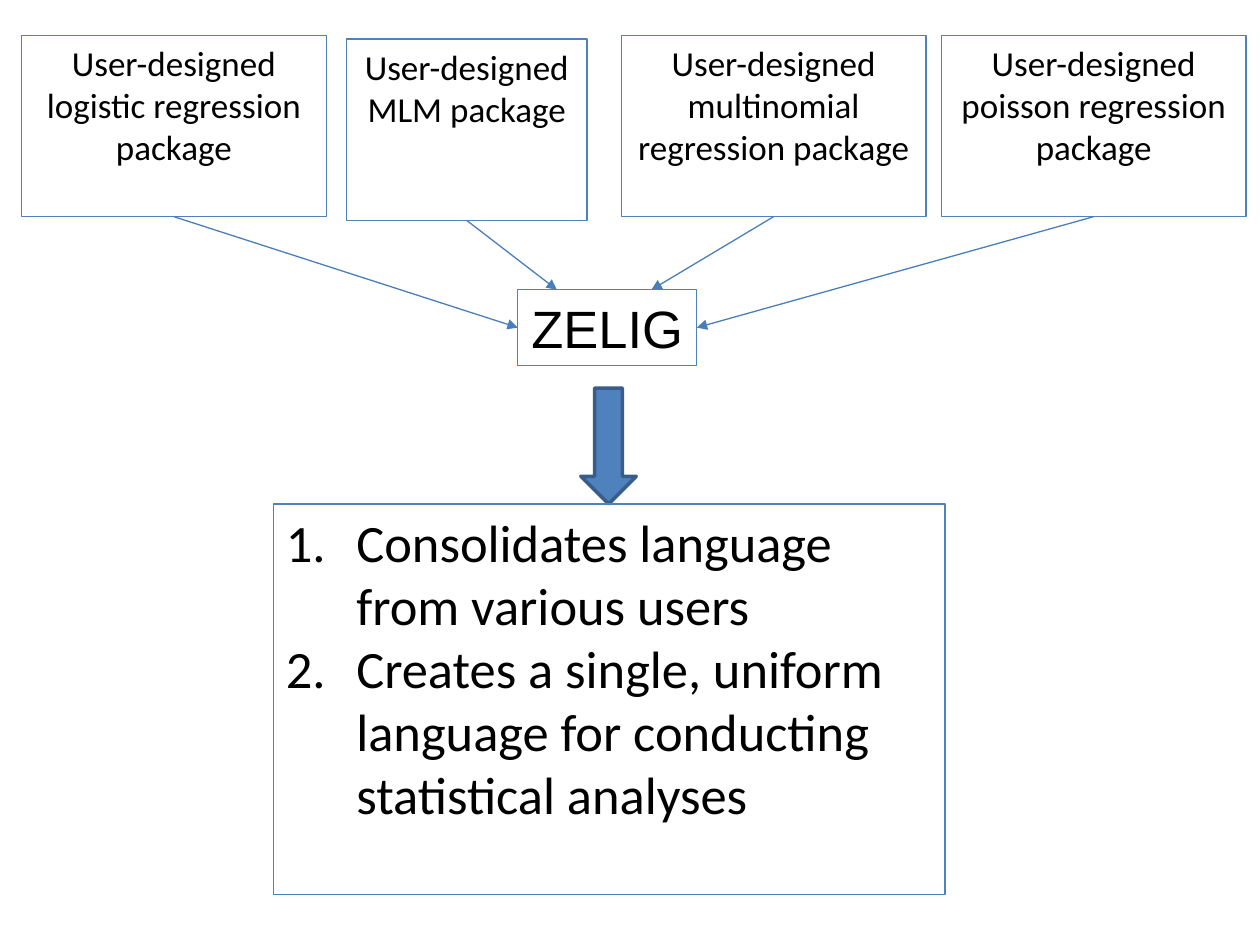
from lxml.etree import SubElement
from pptx import Presentation
from pptx.dml.color import RGBColor
from pptx.enum.shapes import MSO_CONNECTOR, MSO_SHAPE
from pptx.enum.text import MSO_ANCHOR, PP_ALIGN
from pptx.oxml.ns import qn
from pptx.util import Inches, Pt


def color(value):
    return RGBColor.from_string(value)


class Diagram:
    BORDER, ARROW = "4F81BD", "4A7EBB"
    BLOCK_BORDER, TEXT = "385D8A", "000000"

    def __init__(self, page):
        self.page = page

    def shape(self, kind, area, border, weight, fill=None):
        item = self.page.shapes.add_shape(kind, *map(Inches, area))
        item.shadow.inherit = False
        if fill:
            item.fill.solid()
            item.fill.fore_color.rgb = color(fill)
        else:
            item.fill.background()
        item.line.color.rgb = color(border)
        item.line.width = Pt(weight)
        return item

    def box(self, area, texts, size=20, font="Calibri", numbered=False, wrap=True):
        box = self.shape(MSO_SHAPE.RECTANGLE, area, self.BORDER, 0.75)
        frame = box.text_frame
        layout = {"word_wrap": wrap, "vertical_anchor": MSO_ANCHOR.TOP}
        for name, value in layout.items():
            setattr(frame, name, value)
        for index, text in enumerate(texts):
            para = frame.add_paragraph() if index else frame.paragraphs[0]
            para.alignment = PP_ALIGN.LEFT if numbered else PP_ALIGN.CENTER
            if numbered:
                self.number(para)
            span = para.add_run()
            span.text = text
            for name, value in {"size": Pt(size), "name": font}.items():
                setattr(span.font, name, value)
            span.font.color.rgb = color(self.TEXT)
        return box

    def number(self, para):
        properties = para._p.get_or_add_pPr()
        indent = Inches(0.56)
        properties.set("marL", str(indent))
        properties.set("indent", str(-indent))
        bullet_color = SubElement(properties, qn("a:buClr"))
        SubElement(bullet_color, qn("a:srgbClr"), val=self.TEXT)
        SubElement(properties, qn("a:buFont"), typeface="+mj-lt")
        SubElement(properties, qn("a:buAutoNum"), type="arabicPeriod")

    def arrow(self, start, end):
        arrow = self.page.shapes.add_connector(
            MSO_CONNECTOR.STRAIGHT, *map(Inches, (*start, *end)))
        arrow.line.color.rgb = color(self.ARROW)
        arrow.line.width = Pt(0.75)
        SubElement(arrow.line._get_or_add_ln(), qn("a:tailEnd"), type="triangle")
        SubElement(arrow._element.spPr, qn("a:effectLst"))

    def block_arrow(self, area):
        self.shape(MSO_SHAPE.DOWN_ARROW, area, self.BLOCK_BORDER, 2, self.BORDER)


def main():
    deck = Presentation()
    deck.slide_width, deck.slide_height = Inches(10), Inches(7.5)
    diagram = Diagram(deck.slides.add_slide(deck.slide_layouts[6]))

    # Packages: left, top, width, subject, and where each arrow meets the hub
    packages = [
        (0.17, 0.28, 2.42, "logistic regression", (4.11, 2.6)),
        (2.75, 0.31, 1.91, "MLM", (4.42, 2.3)),
        (4.93, 0.28, 2.42, "multinomial regression", (5.17, 2.3)),
        (7.47, 0.28, 2.42, "poisson regression", (5.53, 2.6)),
    ]
    height = 1.44
    for left, top, width, subject, target in packages:
        diagram.box((left, top, width, height), [f"User-designed {subject} package"])
        diagram.arrow((left + width / 2, top + height), target)

    # Hub
    diagram.box((4.11, 2.3, 1.42, 0.6), ["ZELIG"], size=30, font="Arial", wrap=False)
    diagram.block_arrow((4.61, 3.08, 0.44, 0.92))

    # Results
    diagram.box((2.17, 4, 5.33, 3.1), [
        "Consolidates language from various users",
        "Creates a single, uniform language for conducting statistical analyses",
    ], size=30, numbered=True)

    deck.save("out.pptx")


if __name__ == "__main__":
    main()
